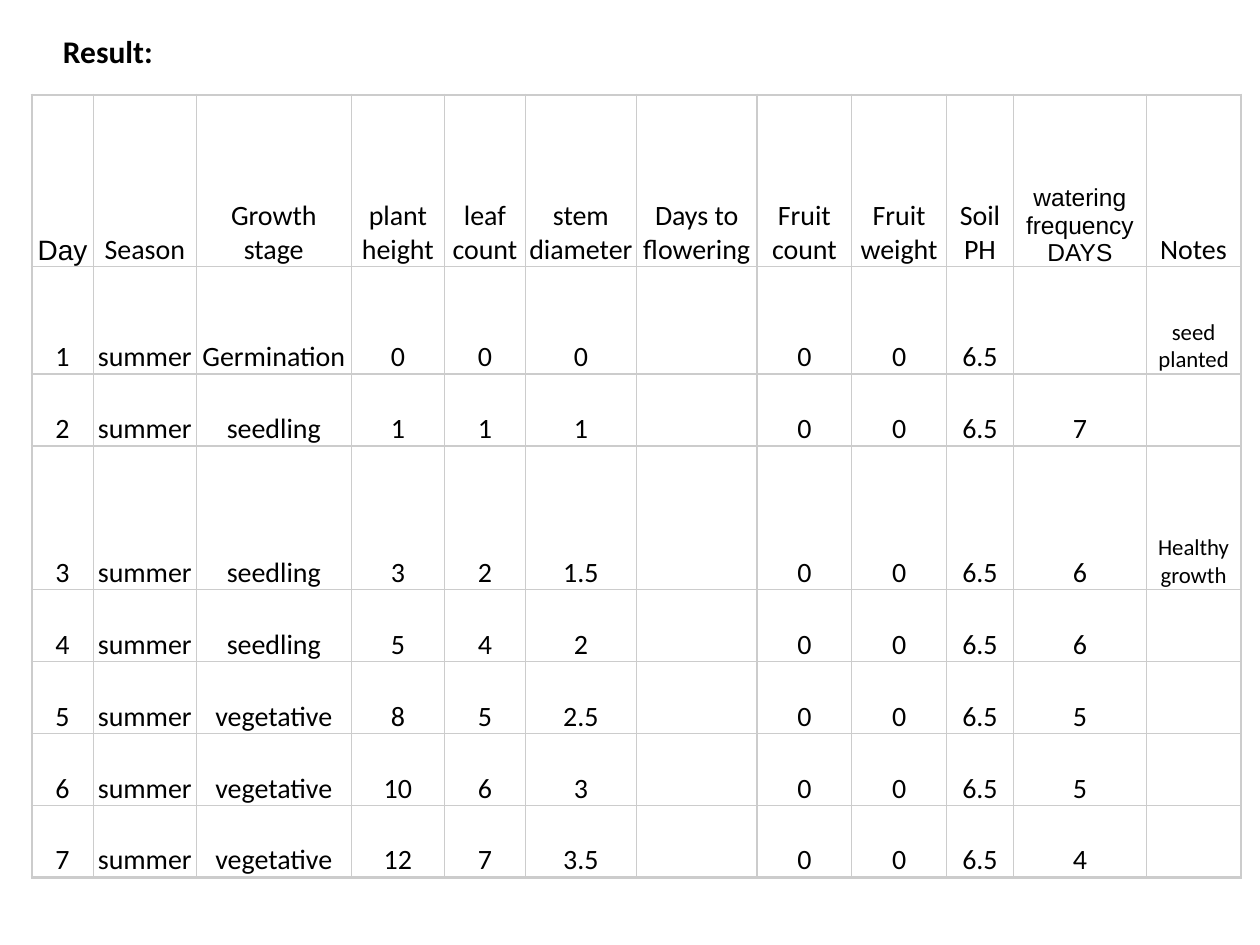
from lxml.etree import SubElement
from pptx import Presentation
from pptx.dml.color import RGBColor
from pptx.enum.text import MSO_ANCHOR as Anchor, MSO_AUTO_SIZE as AutoSize, PP_ALIGN as Align
from pptx.oxml.ns import qn
from pptx.util import Cm, Pt

GRID = "CCCCCC"
THIN, THICK = 0.75, 1.5
COLUMN_WIDTHS = [1.24, 2.08, 3.12, 1.88, 1.63, 2.24, 2.43, 1.91, 1.91, 1.35, 2.68, 1.9]
ROW_HEIGHTS = [3.47, 2.16, 1.45, 2.9, 1.45, 1.45, 1.45, 1.45]
HEADINGS = ["Day", "Season", "Growth stage", "plant height", "leaf count", "stem diameter",
            "Days to flowering", "Fruit count", "Fruit weight", "Soil PH",
            "watering frequency DAYS", "Notes"]
# stage, plant height, leaf count, stem diameter, watering frequency, notes
OBSERVATIONS = [
    ("Germination", "0", "0", "0", "", "seed planted"),
    ("seedling", "1", "1", "1", "7", ""),
    ("seedling", "3", "2", "1.5", "6", "Healthy growth"),
    ("seedling", "5", "4", "2", "6", ""),
    ("vegetative", "8", "5", "2.5", "5", ""),
    ("vegetative", "10", "6", "3", "5", ""),
    ("vegetative", "12", "7", "3.5", "4", ""),
]


def rgb(color):
    return RGBColor.from_string(color)


def write(frame, text, size=16, font="Calibri", color="000000", bold=False, align=Align.LEFT):
    para = frame.paragraphs[0]
    para.alignment = align
    if not text:
        return
    span = para.add_run()
    span.text = text
    span.font.size = Pt(size)
    span.font.name = font
    span.font.bold = bold
    span.font.color.rgb = rgb(color)


def add_border(cell, side, width):
    """Draw one edge of a cell; side is L, R, T or B, in that order."""
    line = SubElement(cell._tc.get_or_add_tcPr(), qn(f"a:ln{side}"), w=str(Pt(width)))
    fill = SubElement(line, qn("a:solidFill"))
    SubElement(fill, qn("a:srgbClr"), val=GRID)


def growth_rows():
    """Expand the observations with the values that are the same every day."""
    rows = [HEADINGS]
    for day, (stage, height, leaves, stem, watering, notes) in enumerate(OBSERVATIONS, 1):
        rows.append([str(day), "summer", stage, height, leaves, stem, "",
                     "0", "0", "6.5", watering, notes])
    return rows


def text_format(row, column):
    heading = HEADINGS[column]
    if row == 0 and heading == "Day":
        return {"font": "Arial"}
    if row == 0 and heading.startswith("watering"):
        return {"font": "Arial", "size": 14}
    if row > 0 and heading == "Notes":
        return {"size": 13}
    return {}


def format_cell(cell, outer):
    """Set margins, anchor, edges and fill; outer holds the sides on the table's rim."""
    cell.margin_left = cell.margin_right = Cm(0.05)
    cell.margin_top = cell.margin_bottom = 0
    cell.vertical_anchor = Anchor.BOTTOM
    for side in "LRTB":
        add_border(cell, side, THICK if side in outer else THIN)
    cell.fill.background()


def add_growth_table(page):
    rows = growth_rows()
    last_row, last_column = len(rows) - 1, len(HEADINGS) - 1
    table = page.shapes.add_table(len(rows), len(HEADINGS), Cm(0.64), Cm(1.91),
                                  Cm(sum(COLUMN_WIDTHS)), Cm(sum(ROW_HEIGHTS))).table
    table.first_row = table.horz_banding = False
    for column, width in zip(table.columns, COLUMN_WIDTHS):
        column.width = Cm(width)
    for row, height in zip(table.rows, ROW_HEIGHTS):
        row.height = Cm(height)
    for r, values in enumerate(rows):
        for c, text in enumerate(values):
            rim = {"L": c == 0, "R": c == last_column, "T": r == 0, "B": r == last_row}
            cell = table.cell(r, c)
            format_cell(cell, [side for side, is_outer in rim.items() if is_outer])
            write(cell.text_frame, text, align=Align.CENTER, **text_format(r, c))


def add_title(page):
    box = page.shapes.add_textbox(Cm(1.02), Cm(0.53), Cm(5.28), Cm(1.07))
    box.text_frame.word_wrap = True
    box.text_frame.auto_size = AutoSize.SHAPE_TO_FIT_TEXT
    write(box.text_frame, "Result:", size=18, bold=True)


def main():
    deck = Presentation()
    deck.slide_width, deck.slide_height = Cm(25.4), Cm(19.05)
    page = deck.slides.add_slide(deck.slide_layouts[6])
    add_growth_table(page)
    add_title(page)
    deck.save("out.pptx")


if __name__ == "__main__":
    main()
